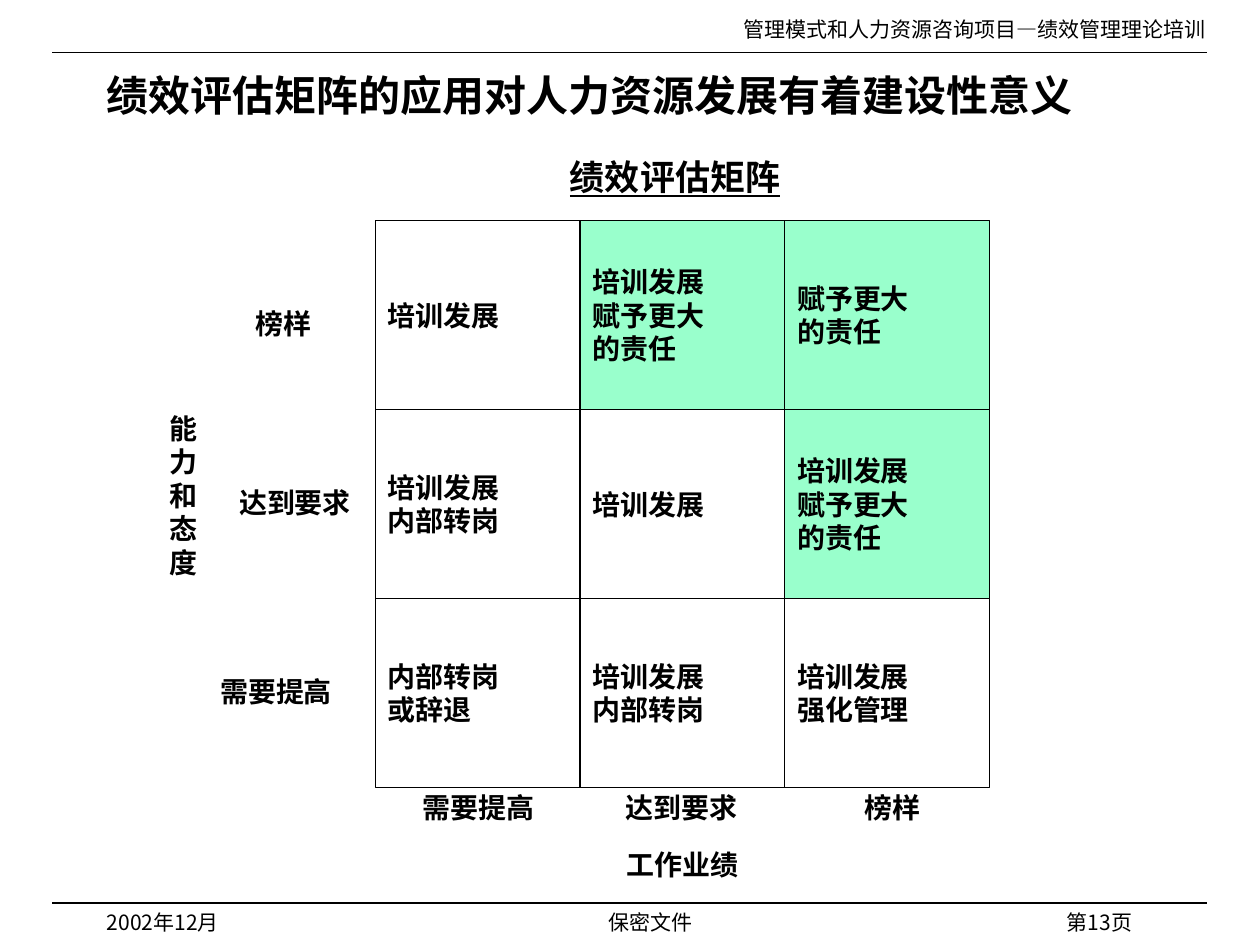
from pptx import Presentation
from pptx.dml.color import RGBColor as Rgb
from pptx.enum.shapes import MSO_CONNECTOR as Link, MSO_SHAPE as Form
from pptx.enum.text import MSO_ANCHOR as Anchor, PP_ALIGN as Align
from pptx.oxml.ns import qn
from pptx.util import Inches, Pt
from lxml.etree import SubElement

# Page grid: 120 columns by 90 rows, twelve to the inch
COLS, ROWS = 120, 90
SANS, SERIF = "Noto Sans CJK SC", "Times New Roman"
BLACK, WHITE, GREEN = "000000", "FFFFFF", "99FFCC"

# Matrix cells, top row first: fill and lines
MATRIX = [
    [(WHITE, "培训发展"),
     (GREEN, "培训发展\n赋予更大\n的责任"),
     (GREEN, "赋予更大\n的责任")],
    [(WHITE, "培训发展\n内部转岗"),
     (WHITE, "培训发展"),
     (GREEN, "培训发展\n赋予更大\n的责任")],
    [(WHITE, "内部转岗\n或辞退"),
     (WHITE, "培训发展\n内部转岗"),
     (WHITE, "培训发展\n强化管理")],
]
LEFT, TOP, WIDE, HIGH = 35.75, 21, 19.5, 18

# Axis labels: text and centre on the grid
LABELS = [
    ("需要提高", 45.6, 76.9), ("达到要求", 64.9, 76.9), ("榜样", 85, 76.9),
    ("榜样", 27, 30.8), ("达到要求", 28.1, 47.8), ("需要提高", 26.3, 65.8),
    ("工作业绩", 65, 82.3),
]


def grid(*cells):
    return [Inches(cell / 12) for cell in cells]


def color(code):
    return Rgb.from_string(code)


def write(shape, text, size=16, font=SERIF, bold=True, line=False,
          align=Align.LEFT, anchor=Anchor.MIDDLE, wrap=False):
    frame = shape.text_frame
    frame.word_wrap = wrap
    frame.vertical_anchor = anchor
    for i, words in enumerate(text.split("\n")):
        para = frame.add_paragraph() if i else frame.paragraphs[0]
        para.alignment = align
        run = para.add_run()
        run.text = words
        face = run.font
        face.size, face.bold, face.underline = Pt(size), bold, line
        face.color.rgb = color(BLACK)
        face.name = font
        # East Asian glyphs use the sans face
        SubElement(run._r.get_or_add_rPr(), qn("a:ea"), typeface=SANS)


def box(slide, text, x, y, w, h, **style):
    write(slide.shapes.add_textbox(*grid(x, y, w, h)), text, **style)


def label(slide, text, x, y, w=13, h=4.4, **style):
    box(slide, text, x - w / 2, y - h / 2, w, h, align=Align.CENTER, **style)


def cell(slide, text, fill, x, y):
    shape = slide.shapes.add_shape(Form.RECTANGLE, *grid(x, y, WIDE, HIGH))
    shape.shadow.inherit = False
    shape.fill.solid()
    shape.fill.fore_color.rgb = color(fill)
    shape.line.color.rgb = color(BLACK)
    shape.line.width = Pt(0.75)
    write(shape, text)


def rule(slide, y):
    line = slide.shapes.add_connector(Link.STRAIGHT, *grid(5, y, 115, y))
    line.line.color.rgb = color(BLACK)
    line.line.width = Pt(0.75)
    SubElement(line._element.spPr, qn("a:effectLst"))


def frame(slide):
    small = dict(size=12, bold=False, anchor=Anchor.TOP, wrap=True)
    rule(slide, 5)
    rule(slide, 86)
    box(slide, "2002年12月", 9, 86, 25, 3, font=SANS, **small)
    box(slide, "保密文件", 35, 86, 54, 3, font=SANS, align=Align.CENTER,
        **small)
    box(slide, "第13页", 84, 86, 25, 3, font=SANS, align=Align.RIGHT, **small)
    box(slide, "管理模式和人力资源咨询项目—绩效管理理论培训", 60, 1, 56, 3.6,
        align=Align.RIGHT, **small)


def matrix(slide):
    for r, row in enumerate(MATRIX):
        for c, (fill, text) in enumerate(row):
            cell(slide, text, fill, LEFT + c * WIDE, TOP + r * HIGH)


def main():
    deck = Presentation()
    deck.slide_width, deck.slide_height = grid(COLS, ROWS)
    slide = deck.slides.add_slide(deck.slide_layouts[6])

    # Header and footer
    frame(slide)
    # Matrix with its heading and axes
    matrix(slide)
    label(slide, "绩效评估矩阵", 64.3, 16.8, w=22.4, h=5.3, size=20, line=True)
    for text, x, y in LABELS:
        label(slide, text, x, y)
    box(slide, "能\n力\n和态度", 15, 38.5, 7, 17.3, wrap=True)
    # Title
    box(slide, "绩效评估矩阵的应用对人力资源发展有着建设性意义", 9, 6, 102, 6,
        size=24, wrap=True)

    deck.save("out.pptx")


if __name__ == "__main__":
    main()
